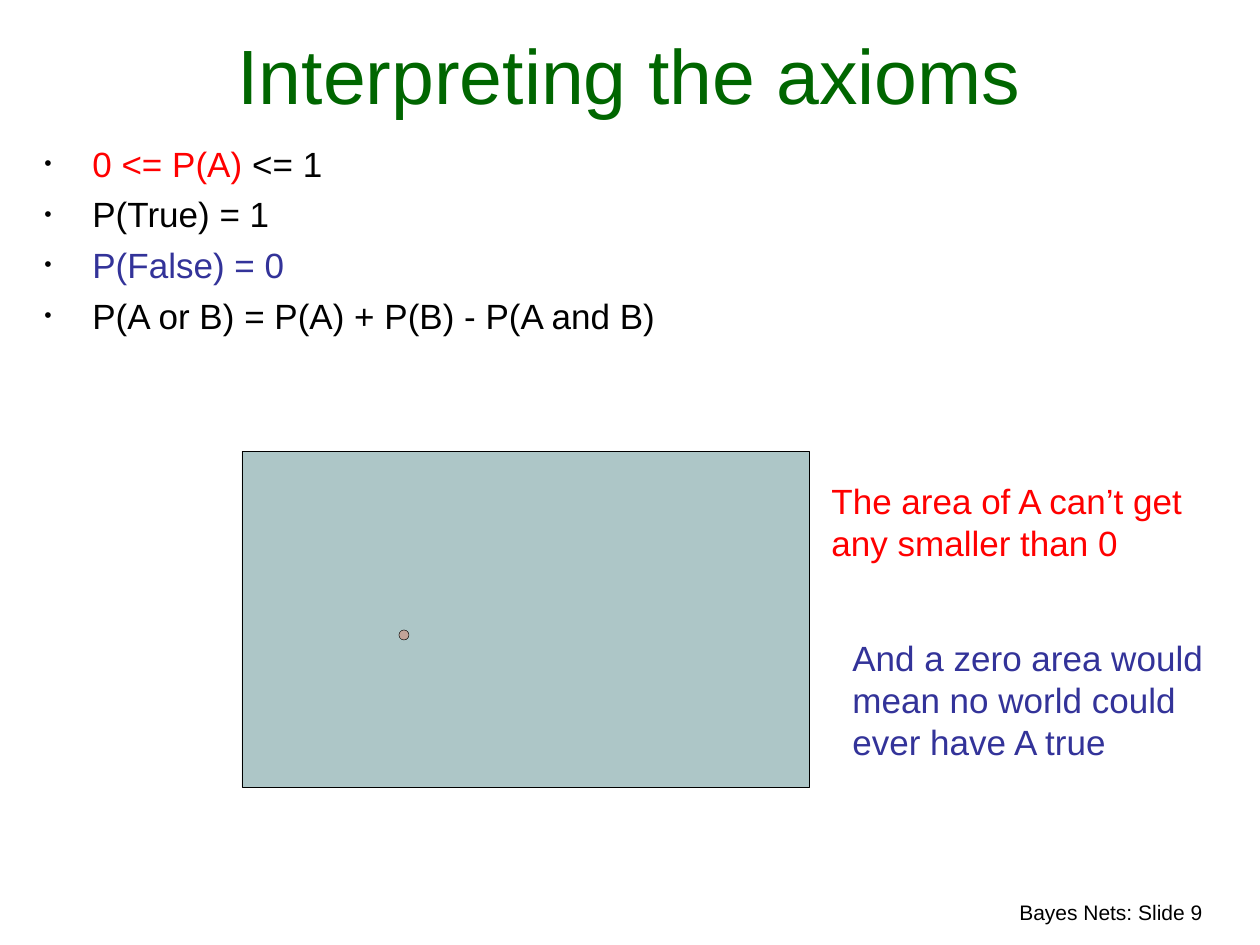
from typing import NamedTuple

from lxml import etree
from pptx import Presentation
from pptx import util as u
from pptx.dml.color import RGBColor
from pptx.enum import shapes, text
from pptx.oxml import ns

PX = 914400 / 126  # EMU per pixel
FONT = "Arial"
COLORS = {
    "black": "000000",
    "green": "006600",
    "red": "FF0000",
    "blue": "333399",
    "world": "ADC6C7",
    "event": "C2A398",
}


class Box(NamedTuple):
    left: int
    top: int
    width: int
    height: int


class Run(NamedTuple):
    words: str
    color: str = "black"


class Region(NamedTuple):
    kind: shapes.MSO_SHAPE
    box: Box
    fill: str


class Remark(NamedTuple):
    box: Box
    run: Run


def emu(box: Box) -> list[u.Emu]:
    return [u.Emu(round(length * PX)) for length in box]


def rgb(color: str) -> RGBColor:
    return RGBColor.from_string(COLORS[color])


def add_bullet(paragraph, indent: int, percent: int) -> None:
    props = paragraph._p.get_or_add_pPr()
    props.set("marL", str(round(indent * PX)))
    props.set("indent", str(round(-indent * PX)))
    color = etree.SubElement(props, ns.qn("a:buClr"))
    etree.SubElement(color, ns.qn("a:srgbClr"), val=COLORS["black"])
    etree.SubElement(props, ns.qn("a:buSzPct"), val=str(percent * 1000))
    etree.SubElement(props, ns.qn("a:buFont"), typeface=FONT)
    etree.SubElement(props, ns.qn("a:buChar"), char="•")


def add_text(slide, box: Box, paragraphs: list[list[Run]], *, size: int = 20,
             align=text.PP_ALIGN.LEFT, anchor=text.MSO_ANCHOR.TOP,
             before: float = 0, bulleted: bool = False) -> None:
    frame = slide.shapes.add_textbox(*emu(box)).text_frame
    frame.word_wrap = True
    frame.vertical_anchor = anchor
    for index, runs in enumerate(paragraphs):
        paragraph = frame.add_paragraph() if index else frame.paragraphs[0]
        paragraph.alignment = align
        paragraph.space_before = u.Pt(before)
        if bulleted:
            add_bullet(paragraph, indent=48, percent=60)
        for words, color in runs:
            run = paragraph.add_run()
            run.text = words
            run.font.name = FONT
            run.font.size = u.Pt(size)
            run.font.color.rgb = rgb(color)


def add_region(slide, region: Region) -> None:
    shape = slide.shapes.add_shape(region.kind, *emu(region.box))
    shape.shadow.inherit = False
    shape.fill.solid()
    shape.fill.fore_color.rgb = rgb(region.fill)
    shape.line.color.rgb = rgb("black")
    shape.line.width = u.Pt(0.26)


AXIOMS = [
    [Run("0 <= P(A) ", "red"), Run("<= 1")],
    [Run("P(True) = 1")],
    [Run("P(False) = 0", "blue")],
    [Run("P(A or B) = P(A) + P(B) - P(A and B)")],
]
REGIONS = [
    Region(shapes.MSO_SHAPE.RECTANGLE, Box(242, 451, 567, 336), "world"),
    Region(shapes.MSO_SHAPE.OVAL, Box(399, 630, 10, 10), "event"),
]
REMARKS = [
    Remark(Box(819, 473, 420, 97),
           Run("The area of A can’t get any smaller than 0", "red")),
    Remark(Box(840, 630, 420, 139),
           Run("And a zero area would mean no world could ever have A true",
               "blue")),
]

deck = Presentation()
deck.slide_width, deck.slide_height = u.Inches(10), u.Inches(7.5)
slide = deck.slides.add_slide(deck.slide_layouts[6])

# Footer, title and axioms
add_text(slide, Box(721, 893, 494, 38), [[Run("Bayes Nets: Slide 9")]],
         size=12, align=text.PP_ALIGN.RIGHT, before=7.5)
add_text(slide, Box(10, 21, 1239, 105),
         [[Run("Interpreting the axioms", "green")]],
         size=44, align=text.PP_ALIGN.CENTER, anchor=text.MSO_ANCHOR.BOTTOM)
add_text(slide, Box(32, 136, 683, 237), AXIOMS, before=5, bulleted=True)

# Space of worlds with the tiny event A
for region in REGIONS:
    add_region(slide, region)

# Remarks beside the diagram
for remark in REMARKS:
    add_text(slide, remark.box, [[remark.run]])

deck.save("out.pptx")
